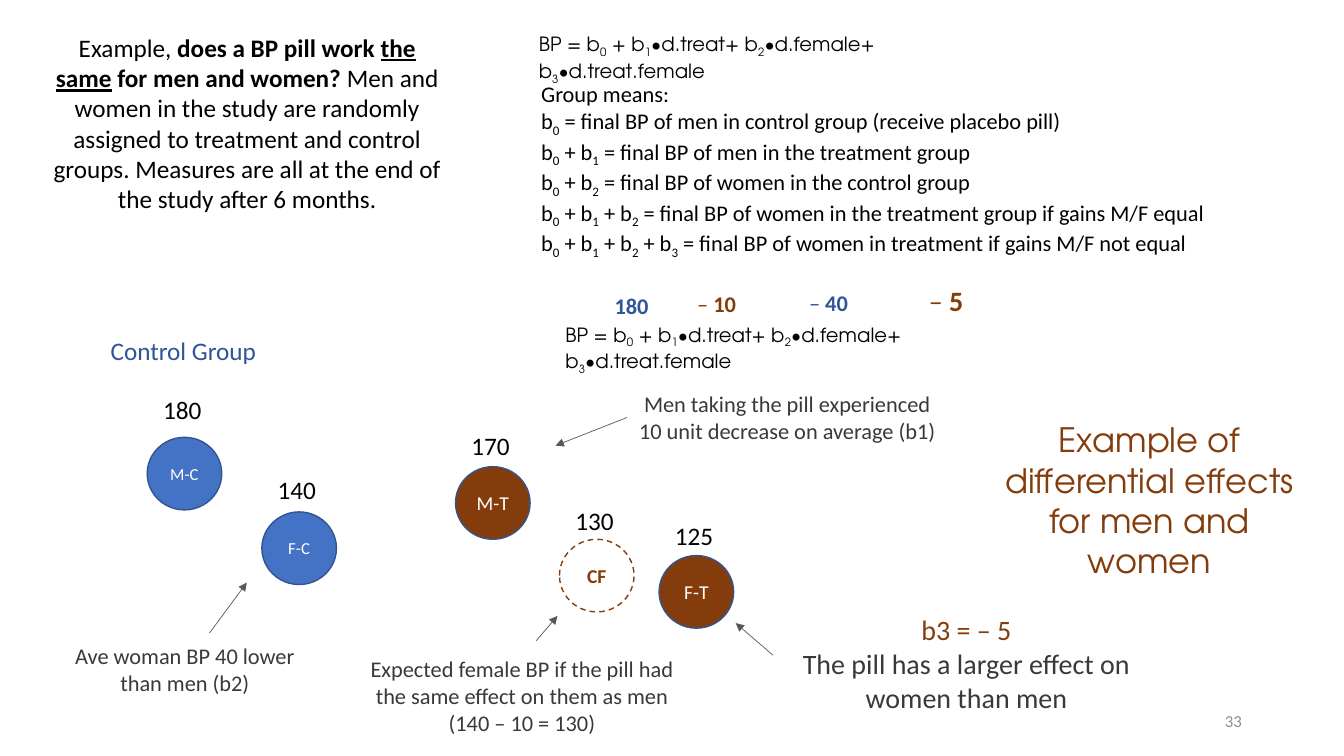
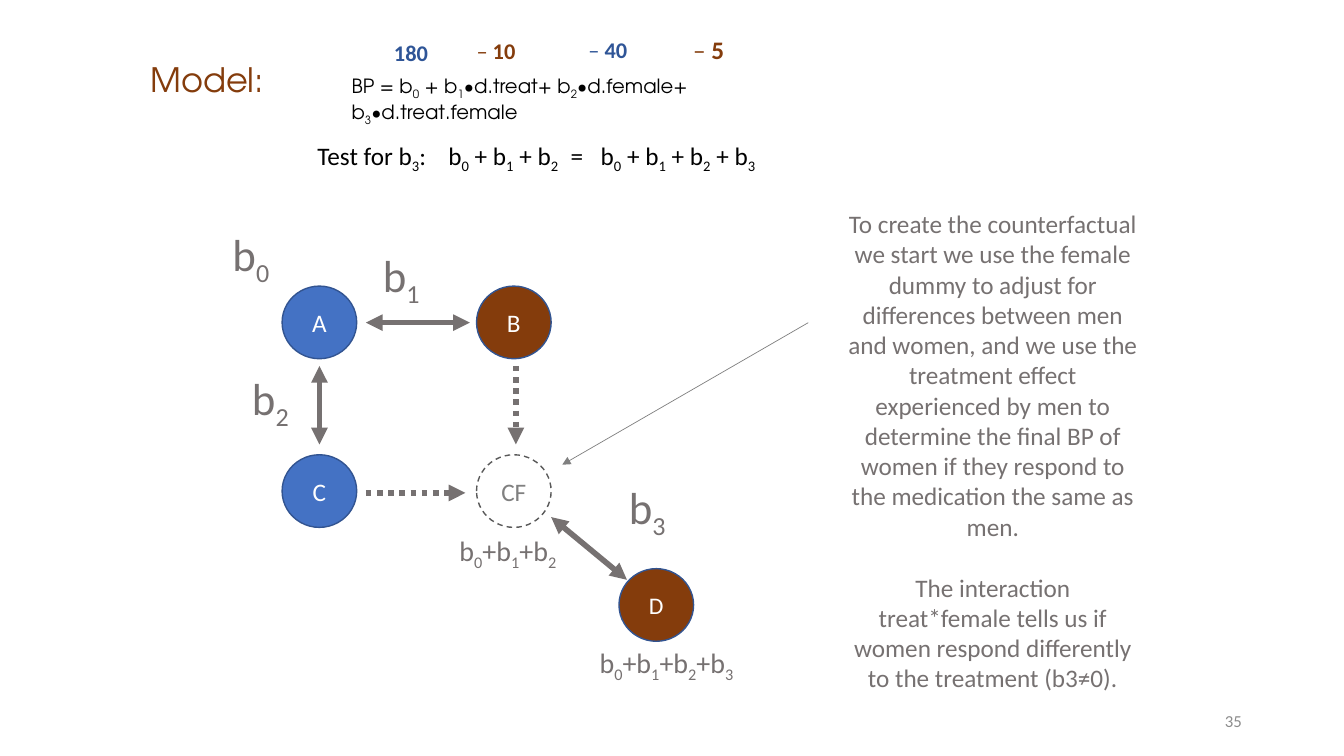
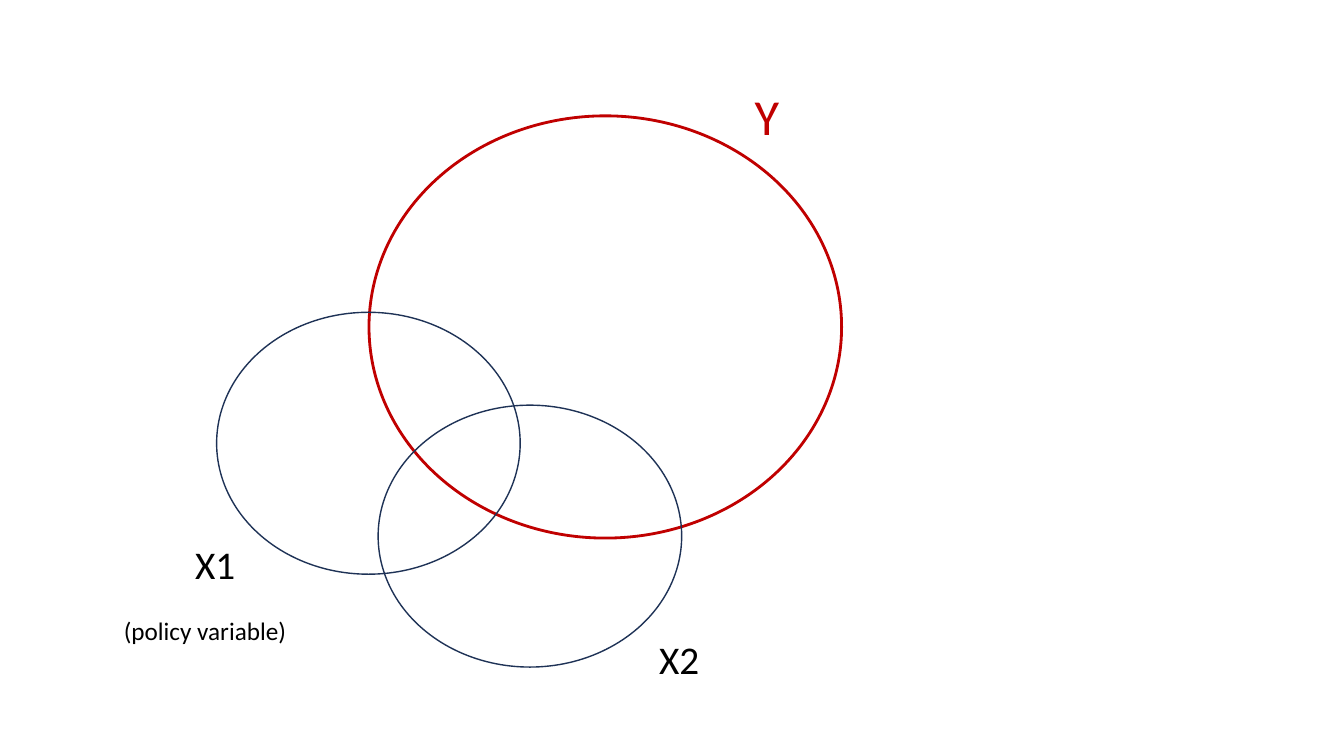
"""Build three slides on interaction effects in a blood pressure trial."""
from lxml import etree
from pptx import Presentation
from pptx.dml.color import RGBColor
from pptx.enum import dml, shapes, text
from pptx.oxml import ns
from pptx.util import Cm, Pt

COLOURS = {
    "black": "000000", "white": "FFFFFF", "blue": "4472C4", "outline": "325491",
    "control": "2F5597", "brown": "843C0C", "note": "3B3838", "arrow": "595959",
    "grey": "767171", "light": "808080", "number": "8C8C8C", "red": "C00000",
    "navy": "1E3256",
}
BODY, DISPLAY = "Calibri", "TeX Gyre Adventor"
NODE = (1.88, 1.83)

# Markup in the wording: _x subscript, ^ toggles bold, ~ toggles underline.
EQUATION = "BP = b_0 + b_1∙d.treat+ b_2∙d.female+ b_3∙d.treat.female"
COEFFICIENTS = [
    ("^180^", 0, 0, 1.37, "control"),
    ("– ^10^", 2.08, -0.05, 1.63, "brown"),
    ("– ^40^", 4.9, -0.08, 1.5, "control"),
]
INTRO = ("Example, ^does a BP pill work ~the same~ for men and women?^ Men and women in the "
         "study are randomly assigned to treatment and control groups. Measures are all at "
         "the end of the study after 6 months.")
GROUP_MEANS = [
    "Group means:",
    "b_0 = final BP of men in control group (receive placebo pill)",
    "b_0 + b_1 = final BP of men in the treatment group",
    "b_0 + b_2 = final BP of women in the control group",
    "b_0 + b_1 + b_2 = final BP of women in the treatment group if gains M/F equal",
    "b_0 + b_1 + b_2 + b_3 = final BP of women in treatment if gains M/F not equal",
]
PATIENT_GROUPS = [
    ("M-T", 11.48, 11.76, "brown", 14, "170", 1.04),
    ("M-C", 3.71, 11.02, "blue", 12, "180", 1.22),
    ("CF", 14.1, 13.59, None, 14, "130", 0.97),
    ("F-C", 6.6, 12.9, "blue", 12, "140", 1.07),
    ("F-T", 16.61, 14, "brown", 14, "125", 1.02),
]
REMARKS = [
    ("Ave woman BP 40 lower\nthan men (b2)", 1.47, 16.05, 6.38, 1.63, False),
    ("Men taking the pill experienced\n10 unit decrease on average (b1)",
     15.8, 9.7, 8.08, 1.63, False),
    ("Expected female BP if the pill had the same effect on them as men (140 – 10 = 130)",
     8.71, 16.38, 8.89, 2.31, True),
]
REMARK_ARROWS = [
    (5.28, 15.95, 6.22, 14.68), (15.8, 10.52, 14, 11.23),
    (13.51, 16.15, 14.05, 15.52), (19.48, 16.51, 18.54, 15.7),
]

TEST = "Test for b_3:\tb_0 + b_1 + b_2\t=\tb_0 + b_1 + b_2 + b_3"
TEST_TABS = (3.3, 6.38, 7.14)
MODEL_NODES = [
    ("A", 7.11, 7.21, "blue", 18), ("B", 12.01, 7.21, "brown", 18),
    ("C", 7.11, 11.46, "blue", 18), ("CF", 12.01, 11.46, None, 18),
    ("D", 15.6, 14.33, "brown", 17),
]
MODEL_ARROWS = [
    (9.22, 8.13, 11.84, 8.13, False), (13.89, 13.03, 15.8, 14.61, False),
    (8.05, 9.22, 8.05, 11.2, False), (13, 9.22, 13, 11.2, True),
    (9.22, 12.42, 11.73, 12.42, True),
]
MODEL_LABELS = [
    ("b_0", 5.61, 5.59, 1.5, 1.63, 32), ("b_1", 9.4, 6.12, 1.5, 1.63, 32),
    ("b_2", 6.1, 9.22, 1.5, 1.63, 32), ("b_3", 15.6, 11.96, 1.5, 1.63, 32),
    ("b_0+b_1+b_2", 11.33, 13.31, 3.07, 1.12, 20),
    ("b_0+b_1+b_2+b_3", 14.86, 16.15, 4.17, 1.12, 20),
]
COUNTERFACTUAL = [
    "To create the counterfactual we start we use the female dummy to adjust for differences "
    "between men and women, and we use the treatment effect experienced by men to determine "
    "the final BP of women if they respond to the medication the same as men.",
    "The interaction treat*female tells us if women respond differently to the treatment "
    "(b3≠0).",
]

VARIABLES = [
    (9.3, 2.92, 11.91, 10.64, "red", 2),
    (5.46, 7.87, 7.65, 6.6, "navy", 1),
    (9.53, 10.21, 7.65, 6.6, "navy", 1),
]
VARIABLE_LABELS = [
    ("Y", 18.77, 2.03, 1.19, 1.8, 36, "red"),
    ("X2", 16.36, 15.88, 1.6, 1.45, 28, "black"),
    ("X1", 4.67, 13.49, 1.6, 1.45, 28, "black"),
    ("(policy variable)", 2.87, 15.37, 4.65, 1.02, 18, "black"),
]


def rgb(name):
    return RGBColor.from_string(COLOURS[name])


def write(paragraph, marked, size, colour, font=BODY):
    pieces, plain, bold, underline = [], "", False, False
    marks = iter(marked)
    for mark in marks:
        if mark not in "_^~\n":
            plain += mark
            continue
        pieces.append((plain, bold, underline, False))
        plain = ""
        if mark == "_":
            pieces.append((next(marks), bold, underline, True))
        elif mark == "^":
            bold = not bold
        elif mark == "~":
            underline = not underline
        else:
            pieces.append((mark, False, False, False))
    pieces.append((plain, bold, underline, False))
    for wording, is_bold, is_underlined, lowered in pieces:
        if wording == "\n":
            paragraph.add_line_break()
        elif wording:
            run = paragraph.add_run()
            run.text = wording
            run.font.size, run.font.name = Pt(size), font
            run.font.color.rgb = rgb(colour)
            run.font.bold = is_bold or None
            run.font.underline = is_underlined or None
            if lowered:
                run.font._element.set("baseline", "-25000")


def add_text(slide, lines, left, top, width, height, size, colour="black", font=BODY,
             align="LEFT", wrap=False, gap=0):
    frame = slide.shapes.add_textbox(Cm(left), Cm(top), Cm(width), Cm(height)).text_frame
    frame.word_wrap = wrap
    frame.auto_size = text.MSO_AUTO_SIZE.SHAPE_TO_FIT_TEXT
    for index, line in enumerate([lines] if isinstance(lines, str) else lines):
        paragraph = frame.add_paragraph() if index else frame.paragraphs[0]
        paragraph.alignment = getattr(text.PP_ALIGN, align)
        if index and gap:
            paragraph.space_before = Pt(gap)
        write(paragraph, line, size, colour, font)
    return frame


def add_ellipse(slide, left, top, width, height, fill, line, weight):
    ellipse = slide.shapes.add_shape(
        shapes.MSO_SHAPE.OVAL, Cm(left), Cm(top), Cm(width), Cm(height))
    ellipse.shadow.inherit = False
    if fill:
        ellipse.fill.solid()
        ellipse.fill.fore_color.rgb = rgb(fill)
    else:
        ellipse.fill.background()
    ellipse.line.color.rgb = rgb(line)
    ellipse.line.width = Pt(weight)
    return ellipse


def add_node(slide, label, left, top, fill, size, dashed="brown", ink="brown"):
    node = add_ellipse(slide, left, top, *NODE, fill, "outline" if fill else dashed, 1)
    if not fill:
        node.line.dash_style = dml.MSO_LINE.DASH
    node.text_frame.word_wrap = False
    node.text_frame.vertical_anchor = text.MSO_ANCHOR.MIDDLE
    paragraph = node.text_frame.paragraphs[0]
    paragraph.alignment = text.PP_ALIGN.CENTER
    write(paragraph, label, size, "white" if fill else ink)


def add_arrow(slide, ends, colour="arrow", weight=0.5, both=False, dotted=False):
    arrow = slide.shapes.add_connector(
        shapes.MSO_CONNECTOR.STRAIGHT, *(Cm(end) for end in ends))
    arrow.line.color.rgb = rgb(colour)
    arrow.line.width = Pt(weight)
    if dotted:
        arrow.line.dash_style = dml.MSO_LINE.ROUND_DOT
    outline = arrow.line._get_or_add_ln()
    for tip in ("a:headEnd", "a:tailEnd") if both else ("a:tailEnd",):
        etree.SubElement(outline, ns.qn(tip), type="triangle")
    etree.SubElement(arrow._element.spPr, ns.qn("a:effectLst"))


def add_equation(slide, left, top):
    add_text(slide, EQUATION, left, top, 12.7, 0.86, 14, font=DISPLAY, wrap=True)


def add_coefficients(slide, left, top, last):
    for label, right, down, width, colour in COEFFICIENTS:
        add_text(slide, label, left + right, top + down, width, 0.94, 16, colour)
    right, down, size = last
    add_text(slide, "– ^5^", left + right, top + down, 1.4, 1.05, size, "brown")


def add_title(slide, title, left, top, height):
    add_text(slide, title, left, top, 8.2, height, 24, "brown", DISPLAY, "CENTER", True)


def add_number(slide, number):
    frame = add_text(slide, number, 23.93, 17.65, 7.62, 1.02, 12, "number",
                     align="RIGHT", wrap=True)
    frame.auto_size = text.MSO_AUTO_SIZE.NONE
    frame.vertical_anchor = text.MSO_ANCHOR.MIDDLE


def build_example(slide):
    add_text(slide, GROUP_MEANS, 13.39, 1.9, 17.5, 4.83, 16)
    add_text(slide, INTRO, 0.97, 0.69, 10.52, 4.88, 18, align="CENTER", wrap=True)
    add_equation(slide, 13.33, 0.69)
    add_equation(slide, 14, 8)
    add_coefficients(slide, 15.24, 7.24, (7.92, -0.23, 20))
    for label, left, top, fill, size, pressure, rise in PATIENT_GROUPS:
        add_node(slide, label if fill else f"^{label}^", left, top, fill, size)
        add_text(slide, pressure, left + 0.15, top - rise, 1.5, 1.02, 18)
    for remark, left, top, width, height, wrap in REMARKS:
        add_text(slide, remark, left, top, width, height, 16, "note",
                 align="CENTER", wrap=wrap)
    for ends in REMARK_ARROWS:
        add_arrow(slide, ends)
    finding = add_text(slide, "b3 = – 5", 19.91, 15.32, 8.89, 2.82, 20, "brown",
                       align="CENTER", wrap=True)
    effect = finding.add_paragraph()
    effect.alignment = text.PP_ALIGN.CENTER
    write(effect, "The pill has a larger effect on women than men", 20, "note")
    add_text(slide, "Control Group", 2.54, 8.33, 4.22, 1.02, 18, "control")
    add_title(slide, "Example of differential effects for men and women", 24.87, 10.44, 4.37)
    add_number(slide, "33")


def build_model(slide):
    test = add_text(slide, TEST, 7.75, 3.4, 12.5, 1.02, 18, wrap=True)
    stops = etree.SubElement(test.paragraphs[0]._p.get_or_add_pPr(), ns.qn("a:tabLst"))
    for stop in TEST_TABS:
        etree.SubElement(stops, ns.qn("a:tab"), pos=str(Cm(stop)), algn="l")
    for node in MODEL_NODES:
        add_node(slide, *node, dashed="arrow", ink="light")
    for *ends, dotted in MODEL_ARROWS:
        add_arrow(slide, ends, "grey", 4, not dotted, dotted)
    for *label, size in MODEL_LABELS:
        add_text(slide, *label, size, "grey")
    add_arrow(slide, (20.37, 8.13, 14.17, 11.71), "light")
    add_text(slide, COUNTERFACTUAL, 21.11, 5.13, 7.82, 12.57, 18, "grey",
             align="CENTER", wrap=True, gap=22)
    add_equation(slide, 8.61, 1.73)
    add_coefficients(slide, 9.68, 0.86, (7.54, -0.13, 18))
    add_title(slide, "Model:", 1.12, 1.35, 1.27)
    add_number(slide, "35")


def build_variables(slide):
    for left, top, width, height, line, weight in VARIABLES:
        add_ellipse(slide, left, top, width, height, None, line, weight)
    for label in VARIABLE_LABELS:
        add_text(slide, *label)


def main():
    deck = Presentation()
    deck.slide_width, deck.slide_height = Cm(33.87), Cm(19.05)
    for build in (build_example, build_model, build_variables):
        build(deck.slides.add_slide(deck.slide_layouts[6]))
    deck.save("out.pptx")


if __name__ == "__main__":
    main()
